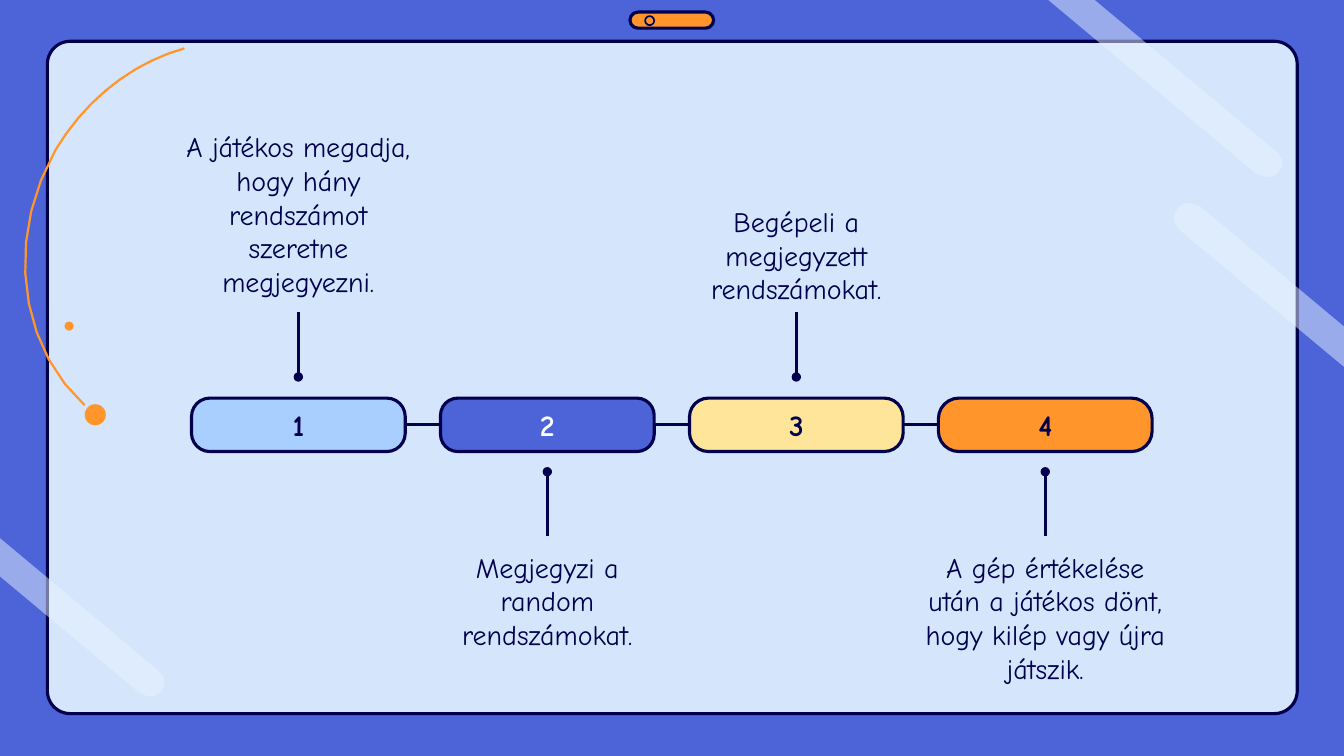
from lxml.etree import SubElement
from pptx import Presentation
from pptx.dml.color import RGBColor
from pptx.enum.shapes import MSO_CONNECTOR as Connector, MSO_SHAPE as Shape
from pptx.enum.text import MSO_ANCHOR as Anchor, PP_ALIGN as Align
from pptx.oxml.ns import qn
from pptx.util import Inches, Pt

COLORS = {
    "navy": "00004D", "blue": "4C64D8", "panel": "D5E6FC", "sky": "A8CFFF",
    "yellow": "FFE599", "orange": "FF952B", "white": "FFFFFF", "glare": "E9F3FF",
}
FONT = "Comic Neue"
SLIDE_WIDTH, SLIDE_HEIGHT = 40 / 3, 7.5

# Outlines in inches: a pair is a straight step, six numbers are a cubic curve
ORBIT = [(0.84, 4.02), (0.19, 3.43, 0.05, 2.37, 0.55, 1.49),
         (0.86, 0.97, 1.33, 0.62, 1.83, 0.48)]
GLARES = [
    [(10.4, 0), (12.47, 1.73), (12.57, 1.76),
     (12.61, 1.76, 12.66, 1.74, 12.68, 1.71),
     (12.75, 1.66, 12.73, 1.57, 12.68, 1.52), (10.86, 0)],
    [(1.47, 6.91), (1.53, 6.91, 1.56, 6.89, 1.6, 6.86),
     (1.65, 6.81, 1.65, 6.71, 1.58, 6.66), (-0.01, 5.33), (-0.01, 5.71),
     (1.38, 6.87)],
    [(11.81, 2.01), (11.76, 2.01, 11.72, 2.03, 11.68, 2.07),
     (11.63, 2.12, 11.63, 2.22, 11.7, 2.28), (13.37, 3.67), (13.37, 3.27),
     (11.91, 2.05)],
]

# Step: number, fill, number colour, corner, text, text top, text height
STEPS = [
    ("1", "sky", "navy", 0.343,
     "A játékos megadja, hogy hány rendszámot szeretne megjegyezni.", 1.16, 1.94),
    ("2", "blue", "white", 0.322, "Megjegyzi a random rendszámokat.", 5.33, 1.02),
    ("3", "yellow", "navy", 0.353, "Begépeli a megjegyzett rendszámokat.", 1.9, 1.2),
    ("4", "orange", "navy", 0.384,
     "A gép értékelése után a játékos dönt, hogy kilép vagy újra játszik.", 5.33, 1.02),
]
FIRST_CENTER, STEP_GAP = 2.96, 2.47
PILL_TOP, PILL_WIDTH, PILL_HEIGHT = 3.95, 2.12, 0.53
CAPTION_WIDTH = 2.65


def rgb(name):
    return RGBColor.from_string(COLORS[name])


def write(holder, text, size=20, color="navy", bold=False, anchor=Anchor.TOP):
    frame = holder.text_frame
    frame.word_wrap = True
    frame.vertical_anchor = anchor
    frame.margin_left = frame.margin_right = Inches(0.13)
    frame.margin_top = frame.margin_bottom = Inches(0.13)
    paragraph = frame.paragraphs[0]
    paragraph.alignment = Align.CENTER
    run = paragraph.add_run()
    run.text = text
    run.font.name, run.font.size, run.font.bold = FONT, Pt(size), bold
    run.font.color.rgb = rgb(color)


def trace(outline, parts):
    """Turn straight steps and cubic curves into points, each curve in some parts."""
    points = [outline[0]]
    for step in outline[1:]:
        if len(step) == 2:
            points.append(step)
            continue
        x0, y0 = points[-1]
        x1, y1, x2, y2, x3, y3 = step
        for i in range(1, parts + 1):
            t = i / parts
            a, b, c, d = (1 - t) ** 3, 3 * t * (1 - t) ** 2, 3 * t * t * (1 - t), t ** 3
            points.append((a * x0 + b * x1 + c * x2 + d * x3,
                           a * y0 + b * y1 + c * y2 + d * y3))
    return [(Inches(x), Inches(y)) for x, y in points]


class Deck:
    def __init__(self):
        self.show = Presentation()
        self.show.slide_width = Inches(SLIDE_WIDTH)
        self.show.slide_height = Inches(SLIDE_HEIGHT)
        self.slide = self.show.slides.add_slide(self.show.slide_layouts[6])
        self.slide.background.fill.solid()
        self.slide.background.fill.fore_color.rgb = rgb("blue")
        self.shapes = self.slide.shapes

    def paint(self, shape, fill=None, line=None, width=2.25, alpha=None):
        shape.shadow.inherit = False
        if fill:
            shape.fill.solid()
            shape.fill.fore_color.rgb = rgb(fill)
        else:
            shape.fill.background()
        if alpha:
            tint = shape.fill._xPr.find(".//" + qn("a:srgbClr"))
            SubElement(tint, qn("a:alpha"), val=str(alpha * 1000))
        if line:
            shape.line.color.rgb = rgb(line)
            shape.line.width = Pt(width)
        else:
            shape.line.fill.background()
        return shape

    def preset(self, kind, box, corner=None, **style):
        shape = self.shapes.add_shape(kind, *map(Inches, box))
        if corner is not None:
            shape.adjustments[0] = corner
        return self.paint(shape, **style)

    def outline(self, steps, parts, close=True, **style):
        start, *rest = trace(steps, parts)
        builder = self.shapes.build_freeform(*start)
        builder.add_line_segments(rest, close=close)
        return self.paint(builder.convert_to_shape(), **style)

    def line(self, x1, y1, x2, y2, dot=False):
        link = self.shapes.add_connector(Connector.STRAIGHT, *map(Inches, (x1, y1, x2, y2)))
        link.line.color.rgb = rgb("navy")
        link.line.width = Pt(2.25)
        if dot:
            SubElement(link.line._get_or_add_ln(), qn("a:tailEnd"), type="oval")
        SubElement(link._element.spPr, qn("a:effectLst"))

    def caption(self, box, text, **style):
        write(self.shapes.add_textbox(*map(Inches, box)), text, **style)


def main():
    deck = Deck()

    # Tablet screen with its camera bar
    deck.preset(Shape.ROUNDED_RECTANGLE, (0.47, 0.41, 12.4, 6.67), 0.034,
                fill="panel", line="navy")
    deck.preset(Shape.ROUNDED_RECTANGLE, (6.25, 0.12, 0.83, 0.16), 0.5,
                fill="orange", line="navy")
    deck.preset(Shape.OVAL, (6.4, 0.16, 0.09, 0.09), line="navy", width=1.25)

    # Orbit with its two dots
    deck.outline(ORBIT, 9, close=False, line="orange", width=1.6)
    deck.preset(Shape.OVAL, (0.64, 3.19, 0.09, 0.09), fill="orange")
    deck.preset(Shape.OVAL, (0.84, 4.01, 0.21, 0.21), fill="orange")

    # Glare bands
    for band in GLARES:
        deck.outline(band, 3, fill="glare", alpha=50)

    # Timeline: captions alternate above and below the pills
    middle = PILL_TOP + PILL_HEIGHT / 2
    half_pill = PILL_WIDTH / 2
    last_center = FIRST_CENTER + STEP_GAP * (len(STEPS) - 1)
    deck.line(FIRST_CENTER + half_pill, middle, last_center + half_pill, middle)
    for i, (number, fill, ink, corner, text, top, height) in enumerate(STEPS):
        center = FIRST_CENTER + STEP_GAP * i
        stem = (3.1, 3.74) if i % 2 == 0 else (5.32, 4.68)
        deck.line(center, stem[0], center, stem[1], dot=True)
        pill = deck.preset(Shape.ROUNDED_RECTANGLE,
                           (center - half_pill, PILL_TOP, PILL_WIDTH, PILL_HEIGHT),
                           corner, fill=fill, line="navy")
        write(pill, number, size=21.3, color=ink, bold=True, anchor=Anchor.MIDDLE)
        deck.caption((center - CAPTION_WIDTH / 2, top, CAPTION_WIDTH, height), text)

    deck.show.save("out.pptx")


if __name__ == "__main__":
    main()
